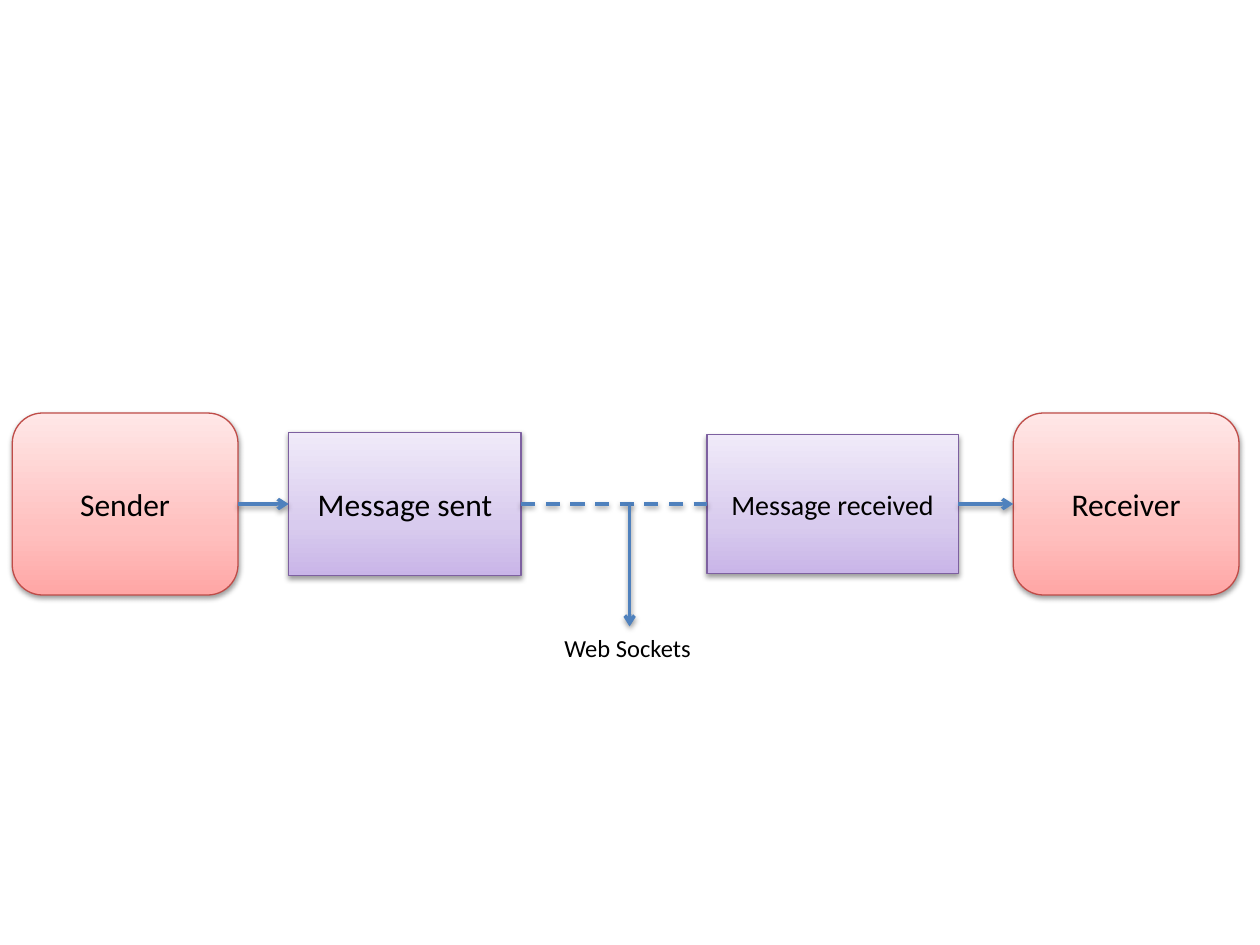
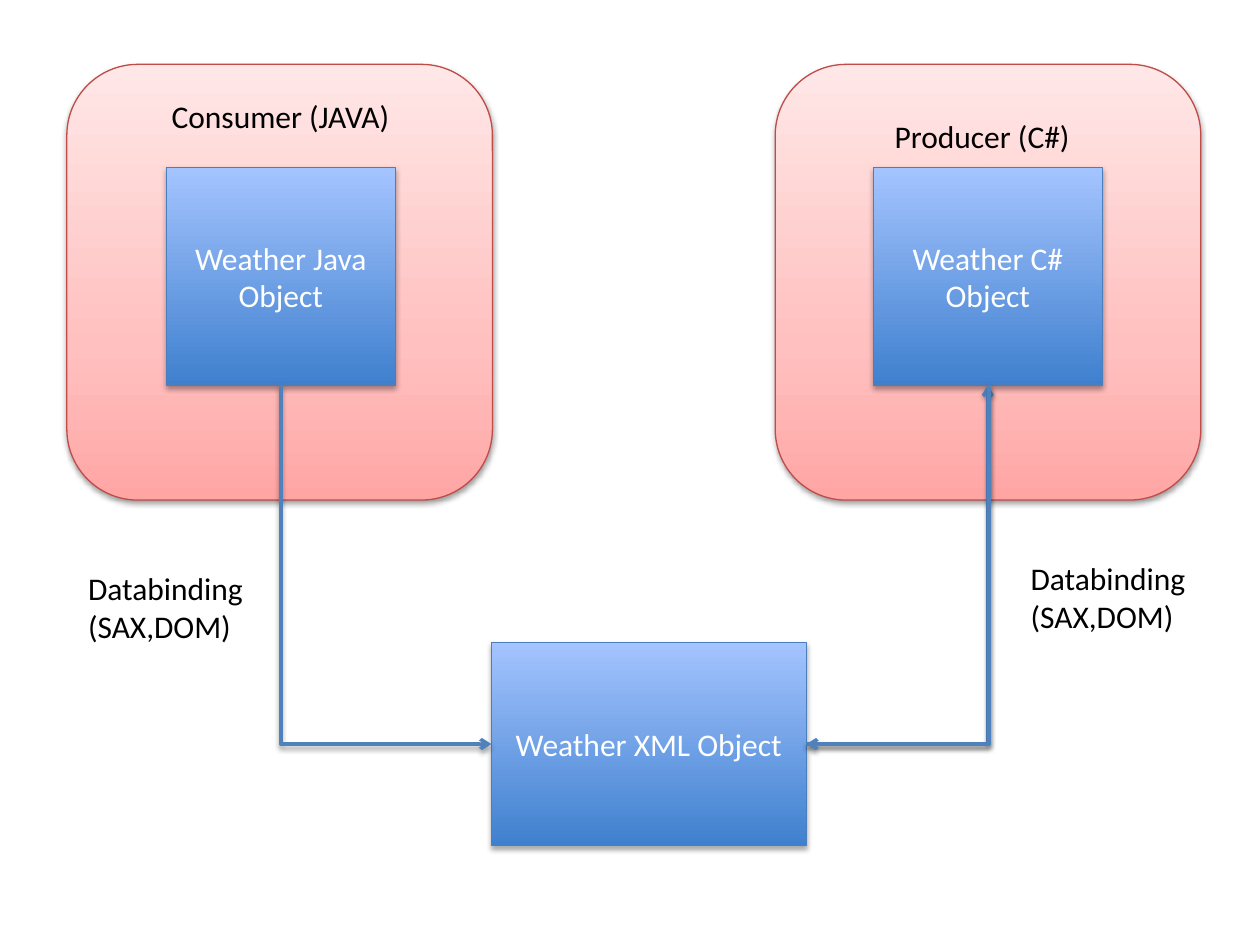
"""Build two diagrams: a message flow and a data binding between two programs."""
import pptx
import pptx.util
import pptx.oxml
import pptx.oxml.ns
import pptx.dml.color
import pptx.enum.dml
import pptx.enum.shapes
import pptx.enum.text

Pt = pptx.util.Pt
KIND = pptx.enum.shapes.MSO_SHAPE
LINK = pptx.enum.shapes.MSO_CONNECTOR
TEXT = pptx.enum.text

WIRE, BLACK, WHITE = "4F81BD", "000000", "FFFFFF"
SOFT, HARD = (38, 1.6), (35, 1.8)
LOOKS = {
    "party": dict(kind=KIND.ROUNDED_RECTANGLE, edge="BF4C48", ink=BLACK, shade=SOFT,
                  stops=[(0, "FFA6A5"), (35, "FFC0BF"), (100, "FFE7E7")]),
    "message": dict(kind=KIND.RECTANGLE, edge="7D60A0", ink=BLACK, shade=SOFT,
                    stops=[(0, "C9B5E8"), (35, "D8CBEE"), (100, "F0EAF9")]),
    "object": dict(kind=KIND.RECTANGLE, edge="4B7EBC", ink=WHITE, shade=HARD,
                   stops=[(0, "3F80CE"), (100, "A4C4FF")]),
}

AXIS = 288
FLOW = [
    ("party", "Sender", 7, 129, 104, 18),
    ("message", "Message sent", 165, 132.8, 82, 18),
    ("message", "Message received", 404, 143.6, 79.4, 16),
    ("party", "Receiver", 579, 129, 104, 18),
]
STYLES = ["arrow", "dash", "arrow"]
SOCKET = ("Web Sockets", 315.4, 358, 88.6, 24.5)

PANEL = (36.8, 243.2, 249)
CORE = (95.8, 131, 124.3)
SIDES = [
    dict(left=38.2, inner=95, name="Weather Java Object",
         title=("Consumer (JAVA)", 59.8, 51.8), note=(43.2, 321.8)),
    dict(left=443, inner=499, name="Weather C# Object",
         title=("Producer (C#)", 460.8, 63.4), note=(581.8, 316)),
]
HUB = ("Weather XML Object", 280.8, 367.2, 180, 116)
NOTE = "Databinding\n(SAX,DOM)"


def tint(code):
    return pptx.dml.color.RGBColor.from_string(code)


def apply(item, **values):
    for key, value in values.items():
        setattr(item, key, value)


def parts(tag, inner, extra=""):
    space = pptx.oxml.ns.nsdecls("a")
    return pptx.oxml.parse_xml(f"<a:{tag} {space} {extra}>{inner}</a:{tag}>")


def shadow(shape, shade):
    alpha, drop = shade
    shape._element.spPr.append(parts(
        "effectLst",
        f'<a:outerShdw blurRad="{Pt(3.1)}" dist="{Pt(drop)}" dir="5400000" rotWithShape="0">'
        f'<a:srgbClr val="000000"><a:alpha val="{alpha * 1000}"/></a:srgbClr></a:outerShdw>'))


def write(frame, text, size, ink, align):
    frame.text = text
    for para in frame.paragraphs:
        para.alignment = align
        for run in para.runs:
            apply(run.font, name="Calibri", size=Pt(size))
            run.font.color.rgb = tint(ink)


def box(slide, look, text, x, y, w, h, size=18):
    form = LOOKS[look]
    shape = slide.shapes.add_shape(form["kind"], *map(Pt, (x, y, w, h)))
    stops = "".join(f'<a:gs pos="{at * 1000}"><a:srgbClr val="{code}"/></a:gs>'
                    for at, code in form["stops"])
    shape._element.spPr.insert(2, parts(
        "gradFill", f'<a:gsLst>{stops}</a:gsLst><a:lin ang="16200000" scaled="0"/>',
        'rotWithShape="1"'))
    shape.line.color.rgb = tint(form["edge"])
    shape.line.width = Pt(0.75)
    shadow(shape, form["shade"])
    if text:
        apply(shape.text_frame, word_wrap=True, vertical_anchor=TEXT.MSO_ANCHOR.MIDDLE)
        write(shape.text_frame, text, size, form["ink"], TEXT.PP_ALIGN.CENTER)


def label(slide, text, x, y, w, h, size=18, wrap=False):
    frame = slide.shapes.add_textbox(*map(Pt, (x, y, w, h))).text_frame
    write(frame, text, size, BLACK, TEXT.PP_ALIGN.CENTER if wrap else TEXT.PP_ALIGN.LEFT)
    apply(frame, word_wrap=wrap, auto_size=TEXT.MSO_AUTO_SIZE.SHAPE_TO_FIT_TEXT)


def wire(slide, start, end, style="arrow", kind=LINK.STRAIGHT):
    link = slide.shapes.add_connector(kind, *map(Pt, (*start, *end)))
    apply(link.line, width=Pt(2))
    link.line.color.rgb = tint(WIRE)
    if style == "dash":
        link.line.dash_style = pptx.enum.dml.MSO_LINE.DASH
    else:
        link.line._get_or_add_ln().append(parts("tailEnd", "", 'type="arrow"'))
    shadow(link, SOFT)
    return link


def elbow(slide, start, end, down):
    """Draw a one-corner link, turning the frame when it first goes down."""
    turn = 0
    if down:
        (x1, y1), (x2, y2) = start, end
        midx, midy = (x1 + x2) / 2, (y1 + y2) / 2
        side = 1 if x2 > x1 else -1
        halfx, halfy = side * (y2 - y1) / 2, abs(x2 - x1) / 2
        start, end = (midx + halfx, midy - halfy), (midx - halfx, midy + halfy)
        turn = 270 if side > 0 else 90
    frame = wire(slide, start, end, kind=LINK.ELBOW)._element.spPr
    frame.find(pptx.oxml.ns.qn("a:prstGeom")).set("prst", "bentConnector2")
    frame.find(pptx.oxml.ns.qn("a:xfrm")).set("rot", str(turn * 60000))


def flow(slide):
    for look, text, x, w, h, size in FLOW:
        box(slide, look, text, x, AXIS - h / 2, w, h, size)
    for left, right, style in zip(FLOW, FLOW[1:], STYLES):
        wire(slide, (left[2] + left[3], AXIS), (right[2], AXIS), style)
    label(slide, *SOCKET, size=14)
    wire(slide, (359.8, AXIS), (359.8, SOCKET[2]))


def binding(slide):
    top, wide, high = PANEL
    itop, iwide, ihigh = CORE
    for side in SIDES:
        box(slide, "party", "", side["left"], top, wide, high)
        box(slide, "object", side["name"], side["inner"], itop, iwide, ihigh)
        label(slide, *side["title"], 200.9, 29, wrap=True)
        label(slide, NOTE, *side["note"], 104.4, 50.9)
    box(slide, "object", *HUB)
    hubx, huby, hubw, hubh = HUB[1:]
    mid, base = huby + hubh / 2, itop + ihigh
    first, last = (side["inner"] + iwide / 2 for side in SIDES)
    elbow(slide, (first, base), (hubx, mid), True)
    elbow(slide, (hubx + hubw, mid), (last, base), False)
    elbow(slide, (last + 0.7, base), (hubx + hubw, mid), True)


deck = pptx.Presentation()
apply(deck, slide_width=Pt(720), slide_height=Pt(540))
for draw in (flow, binding):
    draw(deck.slides.add_slide(deck.slide_layouts[6]))
deck.save("out.pptx")
